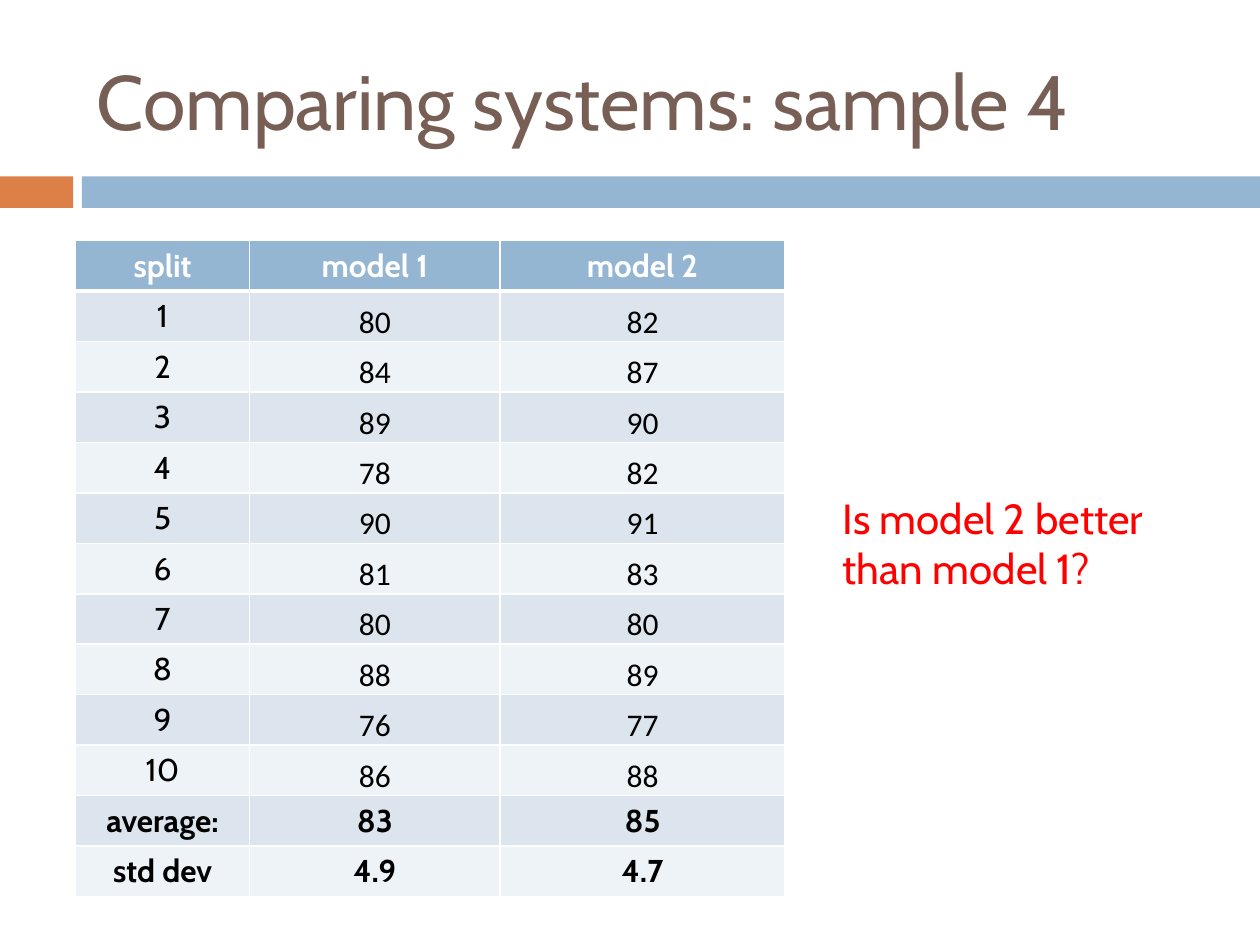
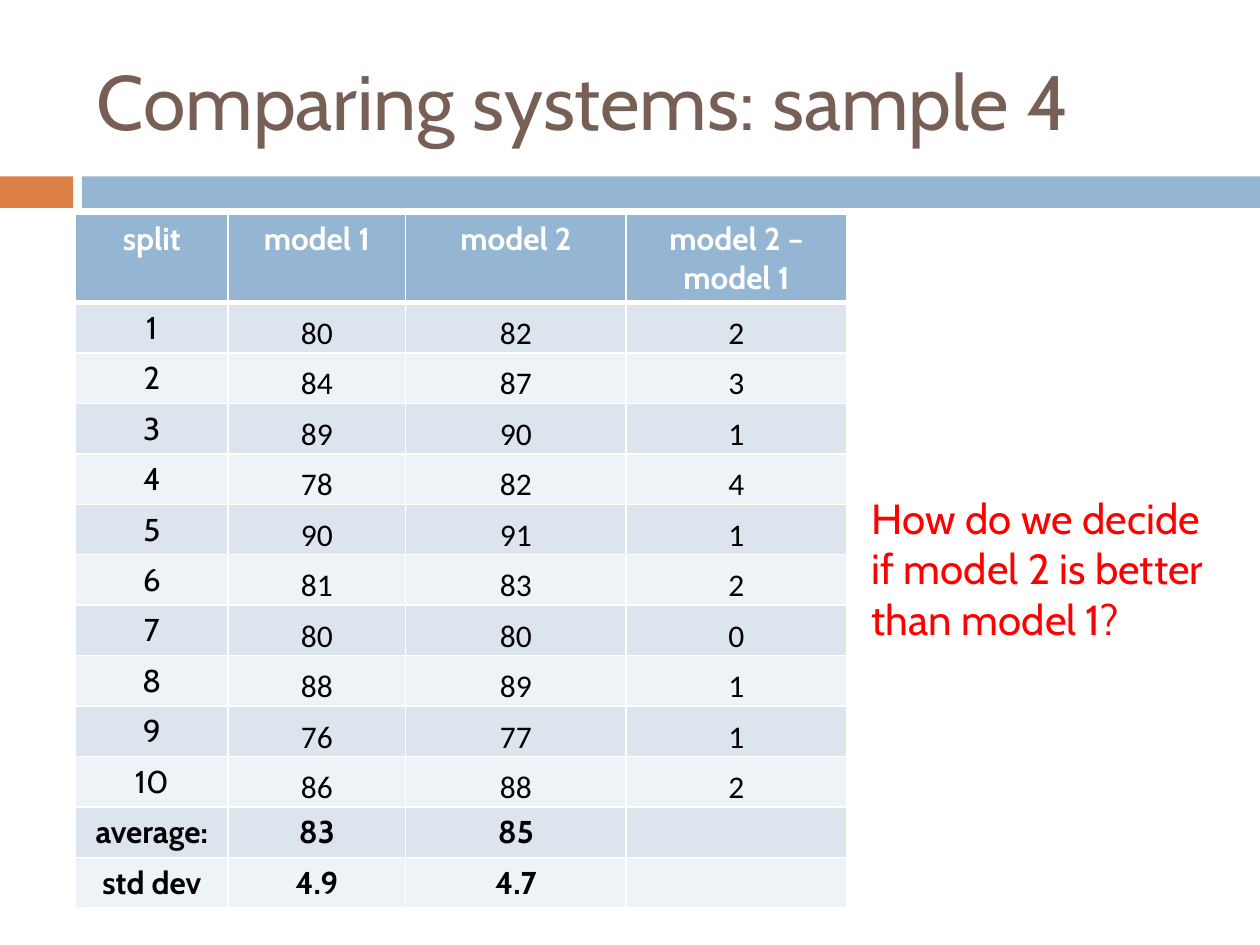
import pptx
import pptx.util
import pptx.dml.color
import pptx.enum.shapes
import pptx.enum.text
import lxml.etree
from pptx.oxml.ns import qn

Inches = pptx.util.Inches
Pt = pptx.util.Pt
ANCHOR = pptx.enum.text.MSO_ANCHOR
ALIGN = pptx.enum.text.PP_ALIGN

COLORS = {
    "title": "775F55",
    "accent": "DD8047",
    "band": "94B6D2",
    "row_dark": "DCE5EE",
    "row_light": "EEF3F7",
    "question": "FF0000",
    "black": "000000",
    "white": "FFFFFF",
}
FONT = "Cabin"
NUMBER_FONT = "Calibri"
ROW_HEIGHT = 0.39

MODEL_1 = [80, 84, 89, 78, 90, 81, 80, 88, 76, 86]
MODEL_2 = [82, 87, 90, 82, 91, 83, 80, 89, 77, 88]
SUMMARY = [["average:", "83", "85"], ["std dev", "4.9", "4.7"]]


def rgb(name):
    return pptx.dml.color.RGBColor.from_string(COLORS[name])


def add_run(p, text, size, color, font=FONT, bold=False):
    r = p.add_run()
    r.text = text
    r.font.size = Pt(size)
    r.font.name = font
    r.font.bold = bold
    r.font.color.rgb = rgb(color)


def add_text(s, box, text, size, color, anchor=ANCHOR.TOP):
    sp = s.shapes.add_textbox(*map(Inches, box))
    tf = sp.text_frame
    tf.word_wrap = True
    tf.vertical_anchor = anchor
    add_run(tf.paragraphs[0], text, size, color)


def add_band(s, left, width, color):
    sp = s.shapes.add_shape(pptx.enum.shapes.MSO_SHAPE.RECTANGLE,
                            Inches(left), Inches(1.4), Inches(width), Inches(0.25))
    sp.shadow.inherit = False
    sp.fill.solid()
    sp.fill.fore_color.rgb = rgb(color)
    sp.line.fill.background()


def set_borders(cell, top, bottom):
    tc_pr = cell._tc.get_or_add_tcPr()
    for side, width in (("L", 1), ("R", 1), ("T", top), ("B", bottom)):
        ln = lxml.etree.SubElement(tc_pr, qn(f"a:ln{side}"), w=str(Pt(width)))
        fill = lxml.etree.SubElement(ln, qn("a:solidFill"))
        lxml.etree.SubElement(fill, qn("a:srgbClr"), val=COLORS["white"])


def fill_cell(cell, text, row, is_score):
    header = row == 0
    set_borders(cell, 3 if row == 1 else 1, 3 if header else 1)
    cell.fill.solid()
    stripe = "row_dark" if row % 2 else "row_light"
    cell.fill.fore_color.rgb = rgb("band" if header else stripe)
    if is_score:
        cell.vertical_anchor = ANCHOR.BOTTOM
        cell.margin_left = cell.margin_right = cell.margin_top = Inches(0.01)
        cell.margin_bottom = 0
    if text:
        p = cell.text_frame.paragraphs[0]
        p.alignment = ALIGN.CENTER
        add_run(p, text, 18, "white" if header else "black",
                NUMBER_FONT if is_score else FONT,
                header or row > len(MODEL_1))


def add_score_table(s, top, widths, rows):
    frame = s.shapes.add_table(len(rows), len(widths), Inches(0.6), Inches(top),
                               Inches(sum(widths)), Inches(ROW_HEIGHT * len(rows)))
    table = frame.table
    for column, width in zip(table.columns, widths):
        column.width = Inches(width)
    for i, values in enumerate(rows):
        table.rows[i].height = Inches(ROW_HEIGHT)
        for j, text in enumerate(values):
            is_score = j > 0 and 1 <= i <= len(MODEL_1)
            fill_cell(table.cell(i, j), text, i, is_score)


def score_rows(with_difference):
    rows = [["split", "model 1", "model 2"]]
    for split, (a, b) in enumerate(zip(MODEL_1, MODEL_2), 1):
        rows.append([str(split), str(a), str(b)])
    rows += SUMMARY
    if not with_difference:
        return rows
    differences = [str(b - a) for a, b in zip(MODEL_1, MODEL_2)]
    extra = ["model 2 – model 1", *differences, "", ""]
    return [row + [value] for row, value in zip(rows, extra)]


def add_comparison_slide(prs):
    s = prs.slides.add_slide(prs.slide_layouts[6])
    add_band(s, 0, 0.58, "accent")
    add_band(s, 0.65, 9.35, "band")
    add_text(s, (0.67, 0.25, 8.92, 1.08), "Comparing systems: sample 4",
             44, "title", ANCHOR.MIDDLE)
    return s


def main():
    prs = pptx.Presentation()
    prs.slide_width, prs.slide_height = Inches(10), Inches(7.5)

    s = add_comparison_slide(prs)
    add_score_table(s, 1.91, [1.38, 1.99, 2.26], score_rows(False))
    add_text(s, (6.59, 3.86, 2.99, 0.91),
             "Is model 2 better than model 1?", 24, "question")

    s = add_comparison_slide(prs)
    add_score_table(s, 1.7, [1.21, 1.41, 1.75, 1.75], score_rows(True))
    add_text(s, (6.82, 3.86, 2.99, 1.31),
             "How do we decide if model 2 is better than model 1?", 24, "question")

    prs.save("out.pptx")


if __name__ == "__main__":
    main()
